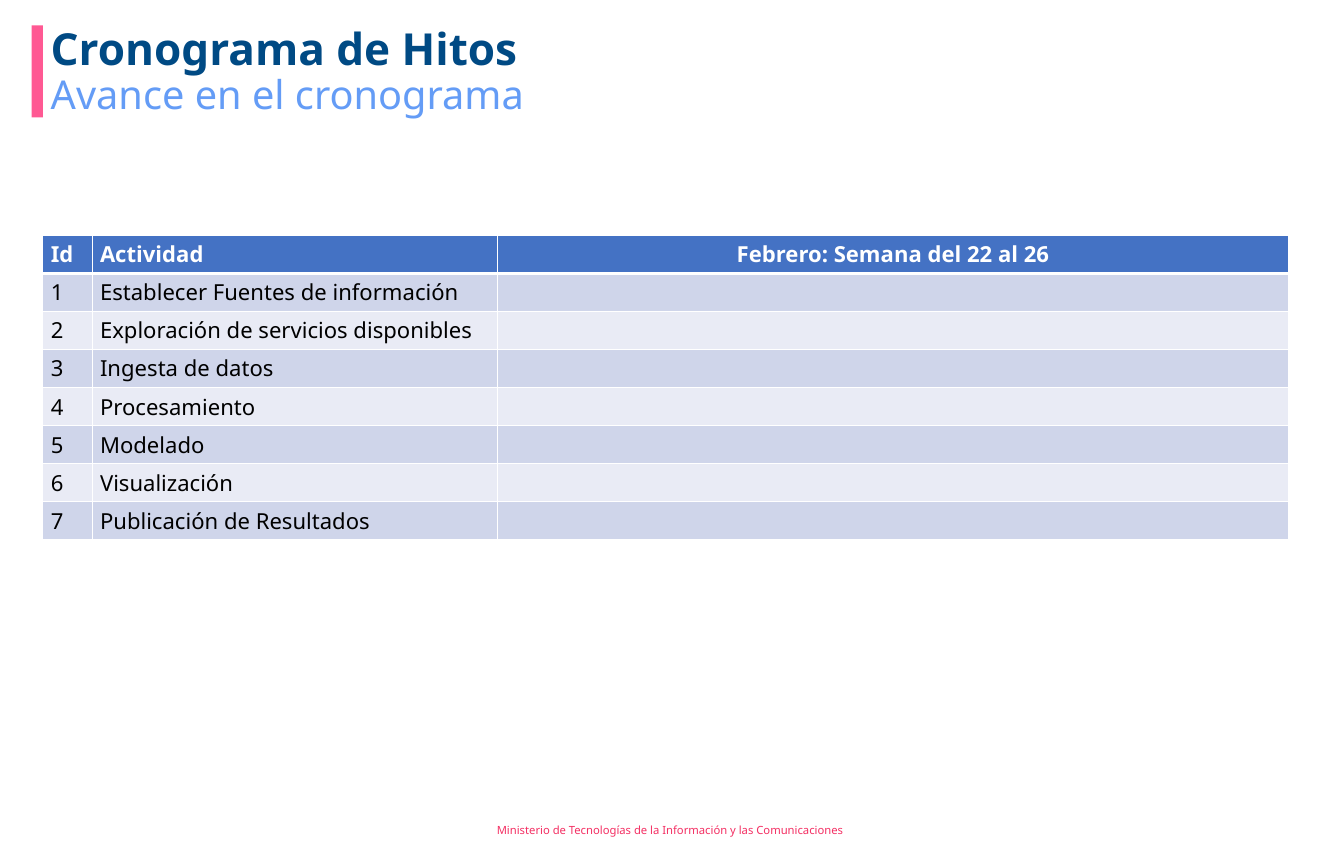
from lxml import etree
from pptx import Presentation
from pptx.dml.color import RGBColor
from pptx.enum.shapes import MSO_SHAPE
from pptx.enum.text import MSO_ANCHOR, PP_ALIGN
from pptx.oxml.ns import qn
from pptx.util import Inches, Pt

RECTANGLE = MSO_SHAPE.RECTANGLE
TOP, MIDDLE = MSO_ANCHOR.TOP, MSO_ANCHOR.MIDDLE
LEFT, CENTER = PP_ALIGN.LEFT, PP_ALIGN.CENTER
FONT = "Noto Sans"
WHITE = "FFFFFF"


def color(hex_value):
    return RGBColor.from_string(hex_value)


def write(para, text, size, hex_value, bold=False):
    para.text = text
    para.font.name = FONT
    para.font.size = Pt(size)
    para.font.bold = bold
    para.font.color.rgb = color(hex_value)


deck = Presentation()
deck.slide_width = Inches(16.93)
deck.slide_height = Inches(10.63)
page = deck.slides.add_slide(deck.slide_layouts[6])

accent = page.shapes.add_shape(
    RECTANGLE, Inches(0.4), Inches(0.32), Inches(0.14), Inches(1.16))
accent.shadow.inherit = False
accent.fill.solid()
accent.fill.fore_color.rgb = color("FF5993")
accent.line.fill.background()

# left, top, width, height, top inset, anchor, line spacing, text, size, color, bold
texts = [
    (6.16, 10.28, 4.6, 0.35, 0.05, MIDDLE, 1.0,
     "Ministerio de Tecnologías de la Información y las Comunicaciones",
     10.2, "F42F63", False),
    (0.54, 0.32, 15.99, 0.55, 0.02, TOP, 0.9,
     "Cronograma de Hitos", 40, "004A84", True),
    (0.54, 0.93, 13.08, 0.75, 0.02, TOP, 0.9,
     "Avance en el cronograma", 36, "649CF6", False),
]
for left, top, width, height, inset, anchor, spacing, text, size, ink, bold in texts:
    box = page.shapes.add_textbox(
        Inches(left), Inches(top), Inches(width), Inches(height))
    frame = box.text_frame
    frame.word_wrap = True
    frame.margin_top = Inches(inset)
    frame.vertical_anchor = anchor
    para = frame.paragraphs[0]
    para.line_spacing = spacing
    write(para, text, size, ink, bold)

activities = [
    "Establecer Fuentes de información",
    "Exploración de servicios disponibles",
    "Ingesta de datos",
    "Procesamiento",
    "Modelado",
    "Visualización",
    "Publicación de Resultados",
]
rows = [("Id", "Actividad", "Febrero: Semana del 22 al 26")]
rows += [(str(number), activity, "") for number, activity in enumerate(activities, 1)]
column_widths = [0.62, 5.11, 9.96]
row_height = 0.48

schedule = page.shapes.add_table(
    len(rows), len(column_widths), Inches(0.54), Inches(2.96),
    Inches(sum(column_widths)), Inches(row_height * len(rows))).table
for column, width in zip(schedule.columns, column_widths):
    column.width = Inches(width)

for row_index, row in enumerate(rows):
    schedule.rows[row_index].height = Inches(row_height)
    header = row_index == 0
    band = "4472C4" if header else ("E9EBF5", "CFD5EA")[row_index % 2]
    for column_index, text in enumerate(row):
        cell = schedule.cell(row_index, column_index)
        properties = cell._tc.get_or_add_tcPr()
        for side in ("L", "R", "T", "B"):
            header_rule = (row_index, side) in ((0, "B"), (1, "T"))
            border = etree.SubElement(
                properties, qn(f"a:ln{side}"), w=str(Pt(3 if header_rule else 1)))
            border_fill = etree.SubElement(border, qn("a:solidFill"))
            etree.SubElement(border_fill, qn("a:srgbClr"), val=WHITE)
        cell.fill.solid()
        cell.fill.fore_color.rgb = color(band)
        para = cell.text_frame.paragraphs[0]
        para.alignment = CENTER if header and column_index == 2 else LEFT
        write(para, text, 20, WHITE if header else "000000", header)

deck.save("out.pptx")
